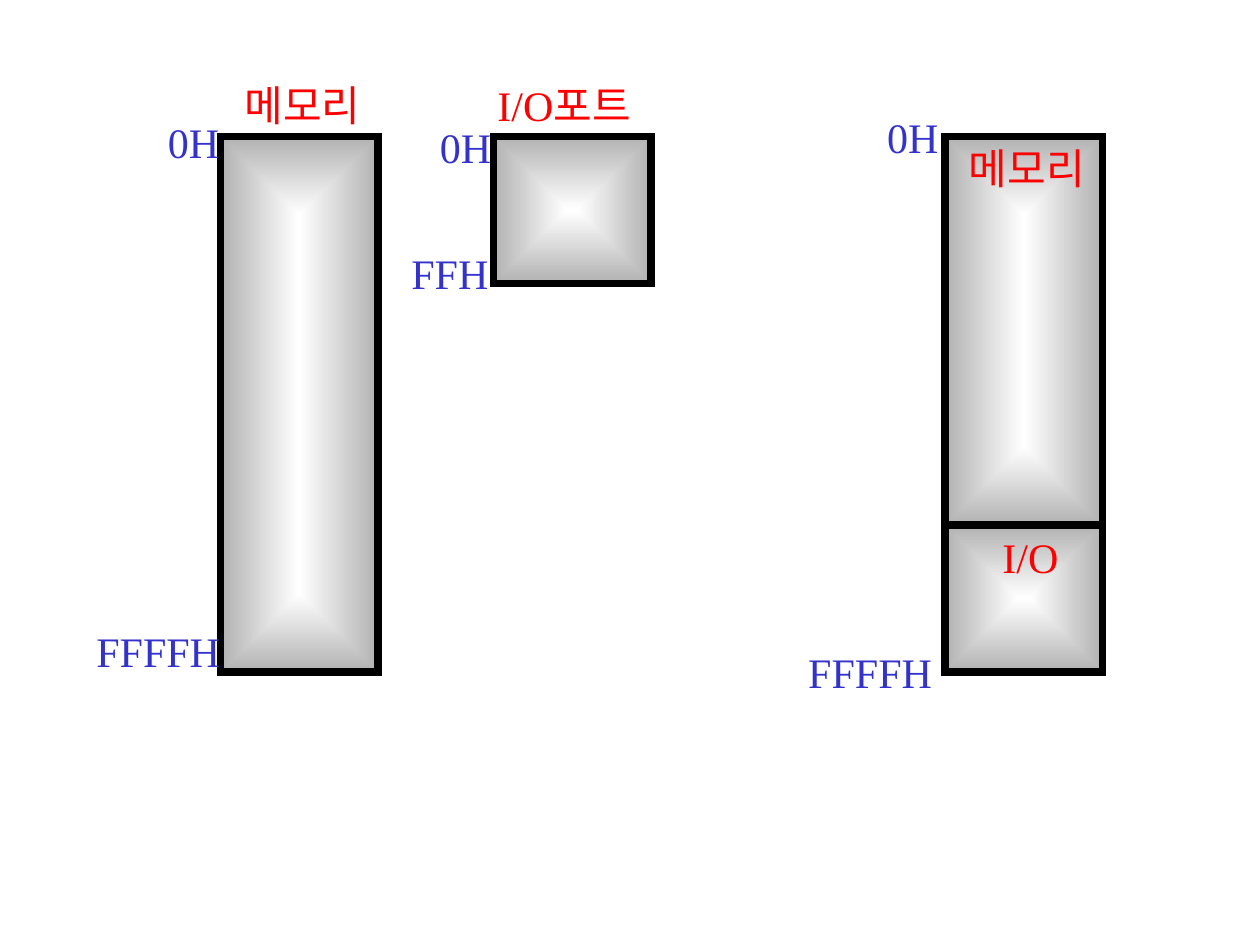
from dataclasses import dataclass

from lxml.etree import SubElement
from pptx import Presentation
from pptx.dml.color import RGBColor as RGB
from pptx.enum.shapes import MSO_SHAPE as Shape
from pptx.enum.text import MSO_AUTO_SIZE as AutoSize
from pptx.oxml.ns import qn
from pptx.slide import Slide
from pptx.util import Emu, Pt

EMU_PER_PX = 7620  # 120 px to the inch


@dataclass(frozen=True)
class Theme:
    font: str = "Times New Roman"
    label_size: Pt = Pt(24)
    border: Pt = Pt(4.5)
    outline: RGB = RGB(0, 0, 0)
    center: RGB = RGB(255, 255, 255)
    edge: RGB = RGB(0xB2, 0xB2, 0xB2)
    region: RGB = RGB(255, 0, 0)
    address: RGB = RGB(0x33, 0x33, 0xCC)


@dataclass(frozen=True)
class Block:
    left: int
    top: int
    height: int
    width: int = 150


@dataclass(frozen=True)
class Label:
    text: str
    left: int
    top: int
    width: int
    color: RGB
    height: int = 60


THEME = Theme()

# Separate memory and I/O spaces on the left, one shared space on the right
BLOCKS = [
    Block(210, 130, 510),
    Block(470, 130, 140),
    Block(900, 130, 370),
    Block(900, 500, 140),
]
LABELS = [
    Label("메모리", 221, 70, 134, THEME.region),
    Label("0H", 148, 105, 73, THEME.address),
    Label("FFFFH", 80, 590, 142, THEME.address),
    Label("I/O포트", 462, 70, 161, THEME.region),
    Label("0H", 407, 110, 73, THEME.address),
    Label("FFH", 380, 230, 97, THEME.address),
    Label("메모리", 911, 130, 134, THEME.region),
    Label("I/O", 943, 500, 77, THEME.region),
    Label("0H", 833, 100, 73, THEME.address),
    Label("FFFFH", 758, 610, 142, THEME.address),
]


def px(length: int) -> Emu:
    return Emu(length * EMU_PER_PX)


def bounds(item: Block | Label) -> list[Emu]:
    return [px(n) for n in (item.left, item.top, item.width, item.height)]


def draw_block(slide: Slide, block: Block) -> None:
    region = slide.shapes.add_shape(Shape.RECTANGLE, *bounds(block))
    region.shadow.inherit = False
    region.line.color.rgb = THEME.outline
    region.line.width = THEME.border
    SubElement(region.line._get_or_add_ln(), qn("a:miter"), lim="800000")

    # Rectangular gradient, light in the center
    region.fill.gradient()
    stops = zip(region.fill.gradient_stops, (0, 1), (THEME.center, THEME.edge))
    for stop, position, color in stops:
        stop.position = position
        stop.color.rgb = color
    gradient = region._element.spPr.find(qn("a:gradFill"))
    gradient.remove(gradient.find(qn("a:lin")))
    rect_path = SubElement(gradient, qn("a:path"), path="rect")
    SubElement(rect_path, qn("a:fillToRect"), l="50000", t="50000", r="50000", b="50000")


def draw_label(slide: Slide, label: Label) -> None:
    frame = slide.shapes.add_textbox(*bounds(label)).text_frame
    frame.word_wrap = False
    frame.auto_size = AutoSize.SHAPE_TO_FIT_TEXT
    paragraph = frame.paragraphs[0]
    paragraph.text = label.text
    paragraph.font.name = THEME.font
    paragraph.font.size = THEME.label_size
    paragraph.font.color.rgb = label.color


def main() -> None:
    deck = Presentation()
    deck.slide_width, deck.slide_height = px(1200), px(900)
    slide = deck.slides.add_slide(deck.slide_layouts[6])
    for block in BLOCKS:
        draw_block(slide, block)
    for label in LABELS:
        draw_label(slide, label)
    deck.save("out.pptx")


if __name__ == "__main__":
    main()
